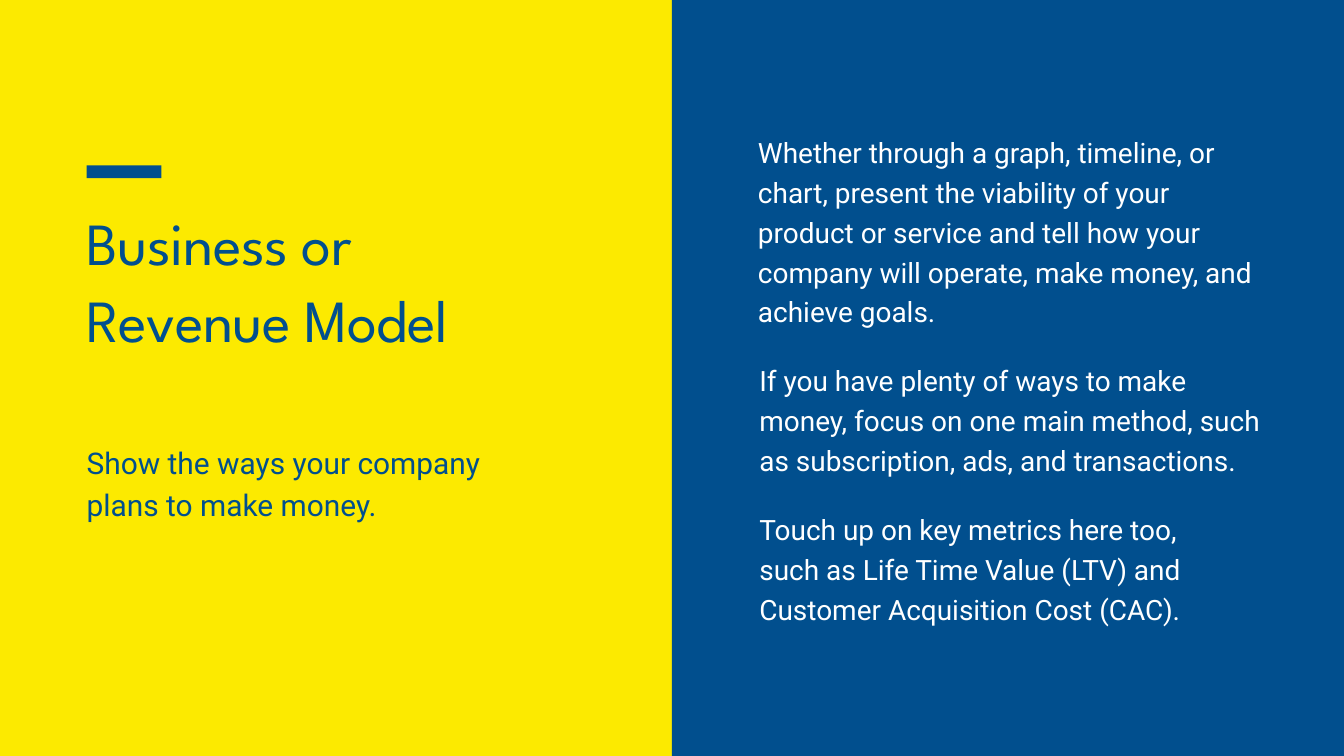
from pptx import Presentation
from pptx.dml.color import RGBColor
from pptx.enum.shapes import MSO_SHAPE
from pptx.enum.text import MSO_ANCHOR, MSO_AUTO_SIZE, PP_ALIGN
from pptx.util import Pt

RECTANGLE = MSO_SHAPE.RECTANGLE
TOP = MSO_ANCHOR.TOP
NO_AUTOFIT = MSO_AUTO_SIZE.NONE
LEFT = PP_ALIGN.LEFT

TITLE_ONLY = 5
SLIDE_WIDTH, SLIDE_HEIGHT = 1440, 810
MARGIN = 92.88
INTRO_WIDTH = 458.64
ADVICE_WIDTH = 545.04
COLORS = {"yellow": "FCEA00", "blue": "014F8E", "white": "FFFFFF"}
HEADING_FONT, BODY_FONT = "League Spartan", "Roboto"

# left, top, height, paragraphs
ADVICE = [
    (812.16, 138.96, 207.36, [
        "Whether through a graph, timeline, or chart, present the viability of "
        "your product or service and tell how your company will operate, make "
        "money, and achieve goals."]),
    (813.6, 383.04, 123.12, [
        "If you have plenty of ways to make money, focus on one main method, "
        "such as subscription, ads, and transactions."]),
    (813.6, 542.88, 123.12, [
        "Touch up on key metrics here too,",
        "such as Life Time Value (LTV) and Customer Acquisition Cost (CAC)."]),
]


def rgb(name):
    return RGBColor.from_string(COLORS[name])


def add_block(slide, left, top, width, height, color):
    block = slide.shapes.add_shape(
        RECTANGLE, Pt(left), Pt(top), Pt(width), Pt(height))
    block.shadow.inherit = False
    block.fill.solid()
    block.fill.fore_color.rgb = rgb(color)
    block.line.fill.background()


def write_text(frame, paragraphs, font, size, leading, color, tracking=0):
    """Fill a frame without insets; tracking is in hundredths of a point."""
    frame.word_wrap = True
    frame.auto_size = NO_AUTOFIT
    frame.vertical_anchor = TOP
    frame.margin_left = frame.margin_right = 0
    frame.margin_top = frame.margin_bottom = 0
    for index, text in enumerate(paragraphs):
        paragraph = frame.add_paragraph() if index else frame.paragraphs[0]
        paragraph.alignment = LEFT
        paragraph.line_spacing = Pt(leading)
        paragraph.space_before = paragraph.space_after = Pt(0)
        run = paragraph.add_run()
        run.text = text
        run.font.name = font
        run.font.size = Pt(size)
        run.font.color.rgb = rgb(color)
        if tracking:
            run.font._element.set("spc", str(tracking))


def add_title(slide, text):
    title = slide.shapes.title
    title.left, title.top = Pt(MARGIN), Pt(213.84)
    title.width, title.height = Pt(INTRO_WIDTH), Pt(246.24)
    write_text(title.text_frame, [text], HEADING_FONT, 64, 83.2, "blue", -60)


def add_body(slide, left, top, width, height, paragraphs, size, leading, color):
    body = slide.shapes.add_textbox(Pt(left), Pt(top), Pt(width), Pt(height))
    write_text(body.text_frame, paragraphs, BODY_FONT, size, leading, color)


def main():
    deck = Presentation()
    deck.slide_width, deck.slide_height = Pt(SLIDE_WIDTH), Pt(SLIDE_HEIGHT)
    slide = deck.slides.add_slide(deck.slide_layouts[TITLE_ONLY])
    slide.background.fill.solid()
    slide.background.fill.fore_color.rgb = rgb("yellow")

    half = SLIDE_WIDTH / 2
    add_block(slide, half, 0, half, SLIDE_HEIGHT, "blue")
    for left, top, height, paragraphs in ADVICE:
        add_body(slide, left, top, ADVICE_WIDTH, height, paragraphs,
                 30, 42.6, "white")

    add_block(slide, MARGIN, 177.12, 79.92, 13.68, "blue")
    add_title(slide, "Business or Revenue Model")
    add_body(slide, MARGIN, 469.44, INTRO_WIDTH, 88.56,
             ["Show the ways your company plans to make money."],
             32, 45.4, "blue")
    deck.save("out.pptx")


if __name__ == "__main__":
    main()
